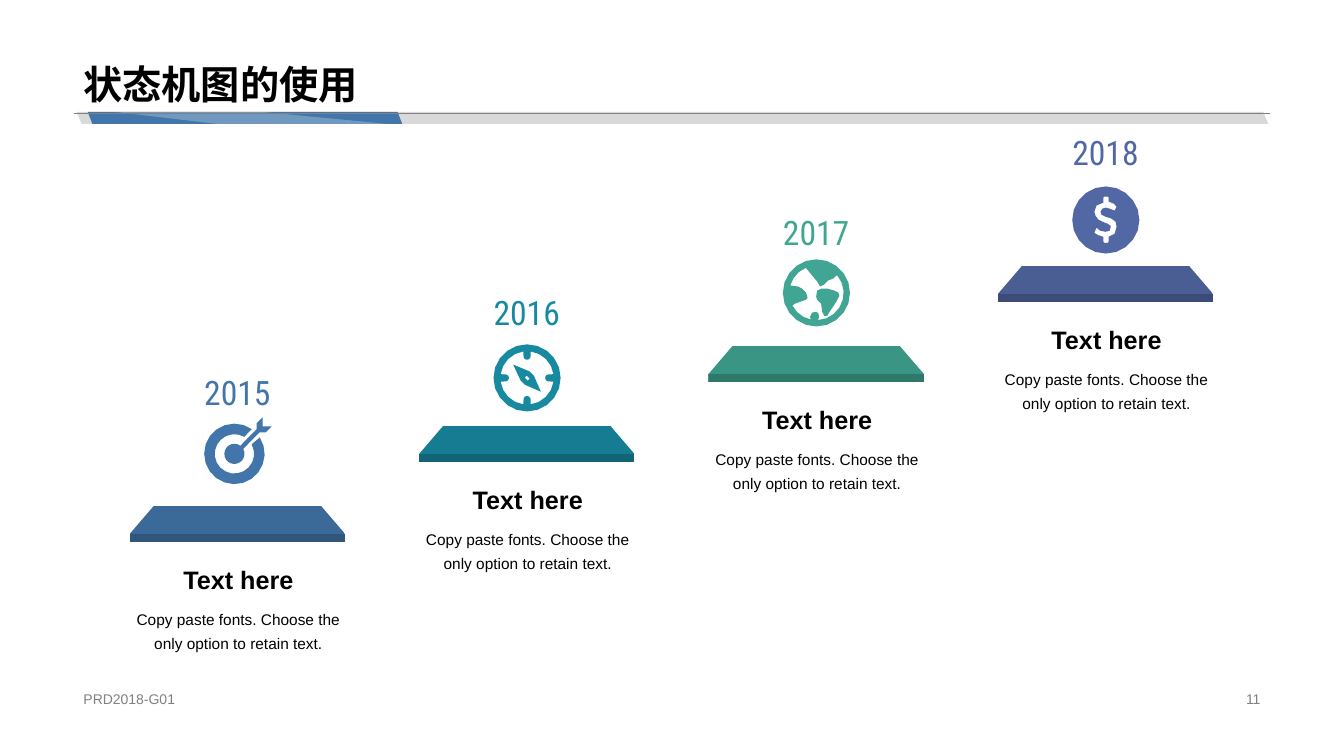
from math import cos, radians, sin

from lxml.etree import SubElement
from pptx import Presentation
from pptx.dml.color import RGBColor
from pptx.enum.shapes import MSO_CONNECTOR, MSO_SHAPE
from pptx.enum.text import MSO_ANCHOR as ANCHOR, PP_ALIGN as ALIGN
from pptx.oxml.ns import qn
from pptx.util import Inches, Pt

BLUE, TEAL, GREEN, INDIGO = "4276AA", "178AA1", "40A693", "5268A5"
BLACK, GRAY, WHITE, TRACK = "000000", "808080", "FFFFFF", "D9D9D9"


def color(hex_text):
    return RGBColor.from_string(hex_text)


def shade(hex_text, factor):
    return "".join(f"{round(int(hex_text[i:i + 2], 16) * factor):02X}" for i in (0, 2, 4))


def paint(shape, fill):
    shape.shadow.inherit = False
    shape.fill.solid()
    shape.fill.fore_color.rgb = color(fill)
    shape.line.fill.background()
    return shape


def add_outline(slide, left, top, contours, fill):
    """Contours hold points in hundredths of an inch from (left, top)."""
    fine = [[(x * 10, y * 10) for x, y in contour] for contour in contours]
    builder = slide.shapes.build_freeform(*fine[0][0], scale=Inches(1) / 1000)
    for i, contour in enumerate(fine):
        if i:
            builder.move_to(*contour[0])
        builder.add_line_segments(contour[1:], close=True)
    return paint(builder.convert_to_shape(Inches(left), Inches(top)), fill)


def add_text(slide, box, text, size, ink, align=ALIGN.LEFT, bold=False, font="Arial",
             spacing=1.0, inset=(0.1, 0.05), **frame_format):
    frame = slide.shapes.add_textbox(*map(Inches, box)).text_frame
    across, down = map(Inches, inset)
    frame_format = {"word_wrap": True, "margin_left": across, "margin_right": across,
                    "margin_top": down, "margin_bottom": down, **frame_format}
    paragraph = frame.paragraphs[0]
    run = paragraph.add_run()
    run.text = text
    run.font.color.rgb = color(ink)
    for target, values in (
            (frame, frame_format),
            (paragraph, {"alignment": align, "line_spacing": spacing}),
            (run.font, {"name": font, "size": Pt(size), "bold": bold})):
        for name, value in values.items():
            setattr(target, name, value)


# Icon outlines, each within a square of 0.67 inches

def arc(cx, cy, radius, start=0, end=360):
    steps = max(3, round(abs(end - start) / 18))
    angles = [radians(start + (end - start) * i / steps) for i in range(steps + 1)]
    return [(cx + radius * cos(a), cy + radius * sin(a)) for a in angles]


def target_icon():
    ring = arc(30, 36.3, 30, -33, 305) + arc(30, 36.3, 19.5, 300, -29)
    arrow = [(52, 12), (52, 6), (58, 0), (58, 9), (67, 9), (61, 15), (55, 15)]
    return [ring, arc(30, 36.3, 10, -30, 306) + arrow]


def compass_icon():
    mid, face = 33.3, []
    for turn in range(0, 360, 90):
        tick = radians(turn + 90)
        face += arc(mid, mid, 26.5, turn + 8, turn + 82)
        face += arc(mid + 21.5 * cos(tick), mid + 21.5 * sin(tick), 3.5, turn, turn - 180)
    needle = [(19.5, 20), (27, 36), (31, 40), (47, 47), (40, 31), (36, 27)]
    hub = [(31, 33), (33, 31), (36, 34), (34, 36)]
    return [arc(mid, mid, 33.3), face, needle, hub]


def globe_icon():
    mid = 33.3
    sea = (arc(mid, mid, 27, -41, 87)
           + [(36, 57), (35, 53), (32, 52), (29, 53), (27, 57)]
           + arc(mid, mid, 27, 102, 152)
           + [(12, 44), (23, 40), (24.5, 38), (23, 33), (19, 29), (15, 27)]
           + arc(mid, mid, 27, 196, 247)
           + [(29, 16), (34, 22), (37, 27), (41, 25), (45, 21), (50, 19)])
    land = [(51, 31), (44, 29), (38, 29), (34, 31), (33, 37), (34, 40), (38, 44),
            (39, 52), (41, 56), (44, 56), (47, 51), (53, 42), (56, 36), (55, 33)]
    return [arc(mid, mid, 33.3), sea, land]


def dollar_icon():
    sign = [(42, 47), (36, 50), (36, 55), (35, 56), (32, 56), (31, 55), (31, 50), (25, 48),
            (22, 46), (24, 41), (28, 44), (33, 45), (37, 44), (38, 41), (38, 39), (35, 37),
            (30, 35), (26, 33), (23, 29), (22, 25), (24, 19), (31, 16), (31, 11), (32, 10),
            (35, 10), (36, 11), (36, 15), (41, 17), (44, 20), (42, 24), (37, 22), (33, 21),
            (30, 22), (28, 25), (29, 28), (33, 30), (39, 32), (43, 35), (44, 40)]
    return [arc(33.3, 33.3, 33.3), sign]


def add_header(slide, left, top, width, title):
    # Track and progress bar
    for offset, length, fill, slant in ((0.03, 11.82, TRACK, 0.42), (0.14, 3.12, BLUE, 0.39)):
        bar = paint(slide.shapes.add_shape(
            MSO_SHAPE.PARALLELOGRAM,
            *map(Inches, (left + offset, top - 0.01, length, 0.12))), fill)
        bar.adjustments[0] = slant
        bar.element.spPr.find(qn("a:xfrm")).set("flipH", "1")
    # Translucent sheen
    sheen = add_outline(slide, left + 0.41, top - 0.01,
                        [[(0, 0), (146, 0), (271, 12), (102, 12)]], WHITE)
    tint = sheen.element.spPr.find(qn("a:solidFill"))[0]
    SubElement(tint, qn("a:alpha")).set("val", "25000")
    # Rule and title
    rule = slide.shapes.add_connector(MSO_CONNECTOR.STRAIGHT, Inches(left), Inches(top),
                                      Inches(left + width), Inches(top))
    rule.line.color.rgb = color(GRAY)
    rule.line.width = Pt(0.25)
    SubElement(rule.element.spPr, qn("a:effectLst"))
    add_text(slide, (left, 0, width, top), title, 28, BLACK, bold=True, spacing=0.9,
             vertical_anchor=ANCHOR.BOTTOM)


def add_footer(slide, left, top, width, code, number):
    add_text(slide, (left, top, 4.53, 0.23), code, 10, GRAY, vertical_anchor=ANCHOR.MIDDLE)
    add_text(slide, (left + width - 3.18, top, 3.18, 0.23), number, 10, GRAY, ALIGN.RIGHT,
             vertical_anchor=ANCHOR.MIDDLE)


def add_step(slide, left, top, hue):
    """A slab seen from the front: lit top, dark front edge."""
    slab = add_outline(slide, left, top, [[(24, 0), (190, 0), (214, 28), (214, 36),
                                           (0, 36), (0, 28)]], hue)
    slab.fill.gradient()
    slab.fill.gradient_angle = 270
    for stop, factor in zip(slab.fill.gradient_stops, (0.9, 0.73)):
        stop.position = 0.78
        stop.color.rgb = color(shade(hue, factor))


def add_stage(slide, left, top, width, year, hue, icon, icon_drop):
    middle = left + width / 2 - 0.01
    add_step(slide, middle - 1.07, top + 1.33, hue)
    add_outline(slide, middle - 0.33, top + icon_drop, icon, hue)
    add_text(slide, (middle - 0.33, top, 0.66, 0.4), year, 24, hue, ALIGN.CENTER,
             font="Roboto Condensed", inset=(0, 0), word_wrap=False,
             vertical_anchor=ANCHOR.MIDDLE)
    # Description and heading
    add_text(slide, (left, top + 2.26, width, 0.61),
             "Copy paste fonts. Choose the only option to retain text.", 11, BLACK,
             ALIGN.CENTER, spacing=1.3)
    add_text(slide, (left, top + 1.84, width, 0.42), "Text here", 18, BLACK, ALIGN.CENTER,
             bold=True, word_wrap=False, vertical_anchor=ANCHOR.BOTTOM)


def main():
    deck = Presentation()
    deck.slide_width, deck.slide_height = Inches(13.33), Inches(7.5)
    slide = deck.slides.add_slide(deck.slide_layouts[6])
    add_header(slide, 0.73, 1.12, 11.87, "状态机图的使用")
    stages = (("2015", BLUE, target_icon(), 0.45), ("2016", TEAL, compass_icon(), 0.52),
              ("2017", GREEN, globe_icon(), 0.47), ("2018", INDIGO, dollar_icon(), 0.54))
    for i, stage in enumerate(stages):
        add_stage(slide, 1.21 + 2.87 * i, 3.69 - 2.38 * i / 3, 2.31, *stage)
    add_footer(slide, 0.73, 6.82, 11.87, "PRD2018-G01", "11")
    deck.save("out.pptx")


if __name__ == "__main__":
    main()
